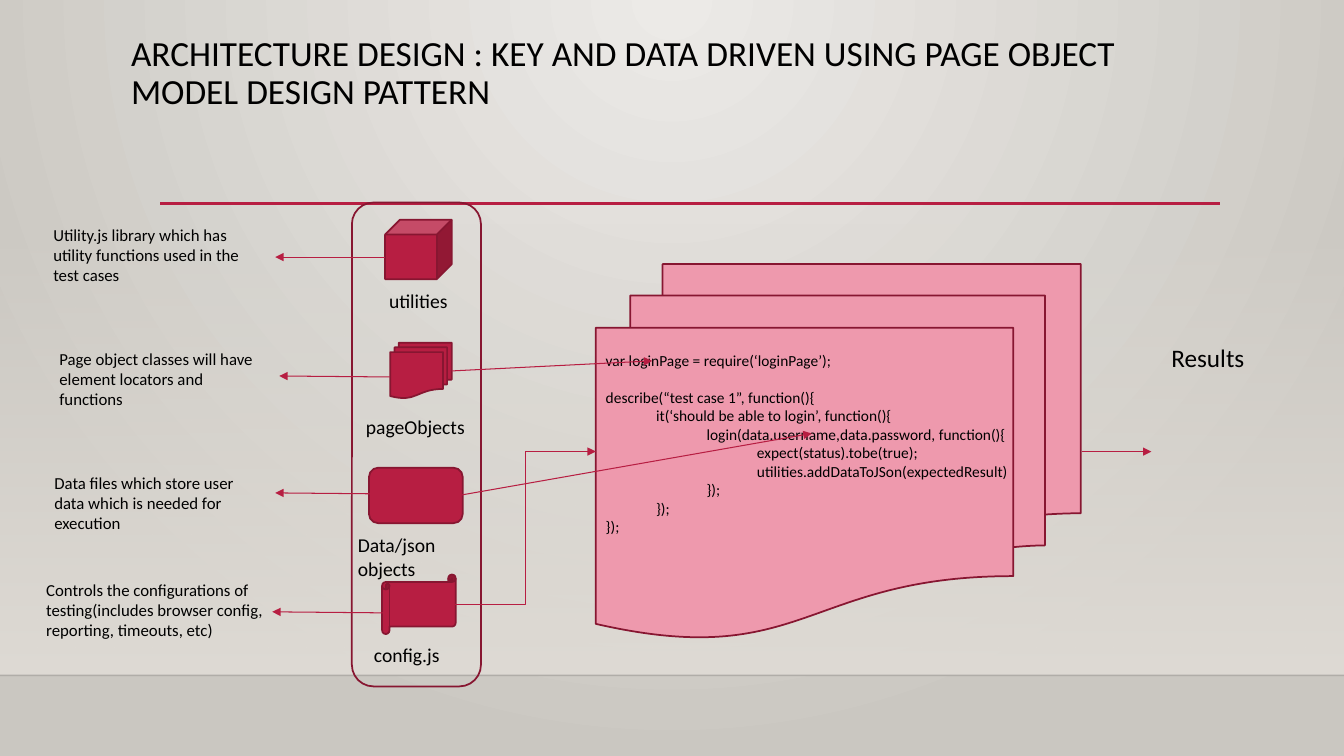
from dataclasses import dataclass

from pptx import Presentation
from pptx import oxml
from pptx.dml.color import RGBColor
from pptx.enum import shapes, text
from pptx.oxml import ns
from pptx.util import Inches, Pt


@dataclass(frozen=True)
class Theme:
    font: str = "Calibri"
    ink: str = "000000"
    accent: str = "B71E42"
    outline: str = "871631"
    pale: str = "EE99AD"
    floor: str = "DFDBD5"
    glow: str = "ECEAE7"
    edge: str = "CAC7C1"
    title: float = 25.2
    result: float = 18
    label: float = 14
    note: float = 12
    code: float = 11


@dataclass(frozen=True)
class Block:
    kind: shapes.MSO_SHAPE
    left: float
    top: float
    width: float
    height: float
    fill: str | None


@dataclass(frozen=True)
class Caption:
    words: str
    left: float
    top: float
    width: float
    height: float
    size: float


@dataclass(frozen=True)
class Arrow:
    start: tuple[float, float]
    end: tuple[float, float]
    kind: shapes.MSO_CONNECTOR = shapes.MSO_CONNECTOR.STRAIGHT


THEME = Theme()
SHAPE = shapes.MSO_SHAPE
TAB_STEP = 0.5

BLOCKS = [
    Block(SHAPE.FLOWCHART_MULTIDOCUMENT, 3.87, 3.4, 0.61, 0.55, THEME.accent),
    Block(SHAPE.ROUNDED_RECTANGLE, 3.49, 2.01, 1.28, 4.8, None),
    Block(SHAPE.HORIZONTAL_SCROLL, 3.79, 5.7, 0.73, 0.59, THEME.accent),
    Block(SHAPE.CUBE, 3.82, 2.18, 0.66, 0.59, THEME.accent),
    Block(SHAPE.FLOWCHART_MULTIDOCUMENT, 5.91, 2.62, 4.81, 3.71, THEME.pale),
    Block(SHAPE.ROUNDED_RECTANGLE, 3.66, 4.64, 0.93, 0.55, THEME.accent),
]

CAPTIONS = [
    Caption("utilities", 3.76, 2.82, 0.81, 0.34, THEME.label),
    Caption("pageObjects", 3.53, 4.07, 1.21, 0.34, THEME.label),
    Caption("Data/json objects", 3.45, 5.24, 1.38, 0.57, THEME.label),
    Caption("config.js", 3.61, 6.33, 1.08, 0.34, THEME.label),
    Caption("Utility.js library which has utility functions used in the test cases",
            0.43, 2.18, 2.29, 0.71, THEME.note),
    Caption("Page object classes will have element locators and functions",
            0.49, 3.41, 2.25, 0.71, THEME.note),
    Caption("Data files which store user data which is needed for execution",
            0.44, 4.64, 2.25, 0.71, THEME.note),
    Caption("Controls the configurations of testing(includes browser config, "
            "reporting, timeouts, etc)", 0.36, 5.7, 2.84, 0.71, THEME.note),
    Caption("Results", 11.52, 3.35, 1.1, 0.4, THEME.result),
]

CODE = Caption("\n".join([
    "var loginPage = require(‘loginPage’);",
    "describe(“test case 1”, function(){",
    "\tit(‘should be able to login’, function(){",
    "\t\tlogin(data.username,data.password, function(){",
    "\t\t\texpect(status).tobe(true);",
    "\t\t\tutilities.addDataToJSon(expectedResult)",
    "\t\t});",
    "\t});",
    "});",
]), 5.91, 3.43, 4.47, 1.95, THEME.code)

ARROWS = [
    Arrow((3.82, 2.55), (2.73, 2.55)),
    Arrow((3.87, 3.74), (2.77, 3.73)),
    Arrow((3.82, 4.9), (2.73, 4.89)),
    Arrow((3.8, 6.08), (2.7, 6.07)),
    Arrow((4.51, 6), (5.91, 4.48), shapes.MSO_CONNECTOR.ELBOW),
    Arrow((4.48, 3.68), (6.47, 3.58)),
    Arrow((4.58, 4.91), (8.05, 4.3)),
    Arrow((10.73, 4.48), (11.42, 4.48)),
]


def gradient(first: str, last: str, direction: str, first_alpha: int = 100):
    return oxml.parse_xml(
        f'<a:gradFill {ns.nsdecls("a")} rotWithShape="1"><a:gsLst>'
        f'<a:gs pos="0"><a:srgbClr val="{first}"><a:alpha val="{first_alpha * 1000}"/>'
        f'</a:srgbClr></a:gs><a:gs pos="100000"><a:srgbClr val="{last}"/></a:gs>'
        f'</a:gsLst>{direction}</a:gradFill>')


def draw_line(page, start, end, color: str, weight: float,
              kind=shapes.MSO_CONNECTOR.STRAIGHT):
    line = page.shapes.add_connector(kind, *map(Inches, start + end))
    line.line.color.rgb = RGBColor.from_string(color)
    line.line.width = Pt(weight)
    oxml.ns  # namespace helpers shared with the XML below
    line._element.spPr.append(oxml.parse_xml(f'<a:effectLst {ns.nsdecls("a")}/>'))
    return line


def draw_arrow(page, arrow: Arrow) -> None:
    line = draw_line(page, arrow.start, arrow.end, THEME.accent, 0.75, arrow.kind)
    line.line._get_or_add_ln().append(
        oxml.parse_xml(f'<a:tailEnd {ns.nsdecls("a")} type="triangle"/>'))


def draw_block(page, block: Block) -> None:
    shape = page.shapes.add_shape(block.kind, Inches(block.left), Inches(block.top),
                                  Inches(block.width), Inches(block.height))
    shape.shadow.inherit = False
    shape.line.color.rgb = RGBColor.from_string(THEME.outline)
    shape.line.width = Pt(1.25)
    if block.fill:
        shape.fill.solid()
        shape.fill.fore_color.rgb = RGBColor.from_string(block.fill)
    else:
        shape.fill.background()


def style_text(frame, size: float) -> None:
    for para in frame.paragraphs:
        for span in para.runs:
            span.font.name = THEME.font
            span.font.size = Pt(size)
            span.font.color.rgb = RGBColor.from_string(THEME.ink)


def draw_caption(page, caption: Caption):
    box = page.shapes.add_textbox(Inches(caption.left), Inches(caption.top),
                                  Inches(caption.width), Inches(caption.height))
    box.text_frame.word_wrap = True
    box.text_frame.text = caption.words
    style_text(box.text_frame, caption.size)
    return box.text_frame


def draw_code(page) -> None:
    frame = draw_caption(page, CODE)
    stops = "".join(f'<a:tab pos="{Inches(TAB_STEP * step)}" algn="l"/>'
                    for step in (1, 2, 3))
    for para in frame.paragraphs:
        para._p.get_or_add_pPr().append(
            oxml.parse_xml(f'<a:tabLst {ns.nsdecls("a")}>{stops}</a:tabLst>'))
    frame.paragraphs[1].space_before = Pt(13.4)


def draw_backdrop(page) -> None:
    background = oxml.parse_xml(
        f'<p:bg {ns.nsdecls("p", "a")}><p:bgPr><a:effectLst/></p:bgPr></p:bg>')
    background[0].insert(0, gradient(
        THEME.glow, THEME.edge,
        '<a:path path="circle"><a:fillToRect l="43000" r="43000" b="100000"/></a:path>'))
    page.element.cSld.insert(0, background)

    wall = page.shapes.add_shape(SHAPE.RECTANGLE, 0, Inches(2.21),
                                 Inches(13.33), Inches(4.49))
    wall.shadow.inherit = False
    wall.line.fill.background()
    wall._element.spPr.find(ns.qn("a:prstGeom")).addnext(
        gradient(THEME.floor, THEME.floor, '<a:lin ang="5400000" scaled="0"/>', 0))

    horizon = draw_line(page, (0, 6.7), (13.33, 6.7), THEME.ink, 1)
    color = horizon.line._get_or_add_ln().find(".//" + ns.qn("a:srgbClr"))
    color.append(oxml.parse_xml(f'<a:alpha {ns.nsdecls("a")} val="20000"/>'))
    draw_line(page, (1.59, 2.02), (12.1, 2.02), THEME.accent, 2.5)


def write_title(page) -> None:
    title = page.shapes.title
    title.left, title.top, title.width, title.height = map(Inches, (1.2, 0.31, 11, 0.55))
    frame = title.text_frame
    frame.text = ("ARCHITECTURE DESIGN : KEY AND DATA DRIVEN USING PAGE OBJECT "
                  "MODEL DESIGN PATTERN")
    frame.auto_size = text.MSO_AUTO_SIZE.NONE
    frame.vertical_anchor = text.MSO_ANCHOR.TOP
    frame.paragraphs[0].alignment = text.PP_ALIGN.LEFT
    frame.paragraphs[0].line_spacing = 0.9
    style_text(frame, THEME.title)


def main() -> None:
    deck = Presentation()
    deck.slide_width, deck.slide_height = Inches(13.33), Inches(7.5)
    page = deck.slides.add_slide(deck.slide_layouts[5])
    # Backdrop and title
    draw_backdrop(page)
    write_title(page)
    # Framework parts, their captions and the test script
    for block in BLOCKS:
        draw_block(page, block)
    for caption in CAPTIONS:
        draw_caption(page, caption)
    draw_code(page)
    # Flow between the parts
    for arrow in ARROWS:
        draw_arrow(page, arrow)
    deck.save("out.pptx")


if __name__ == "__main__":
    main()
